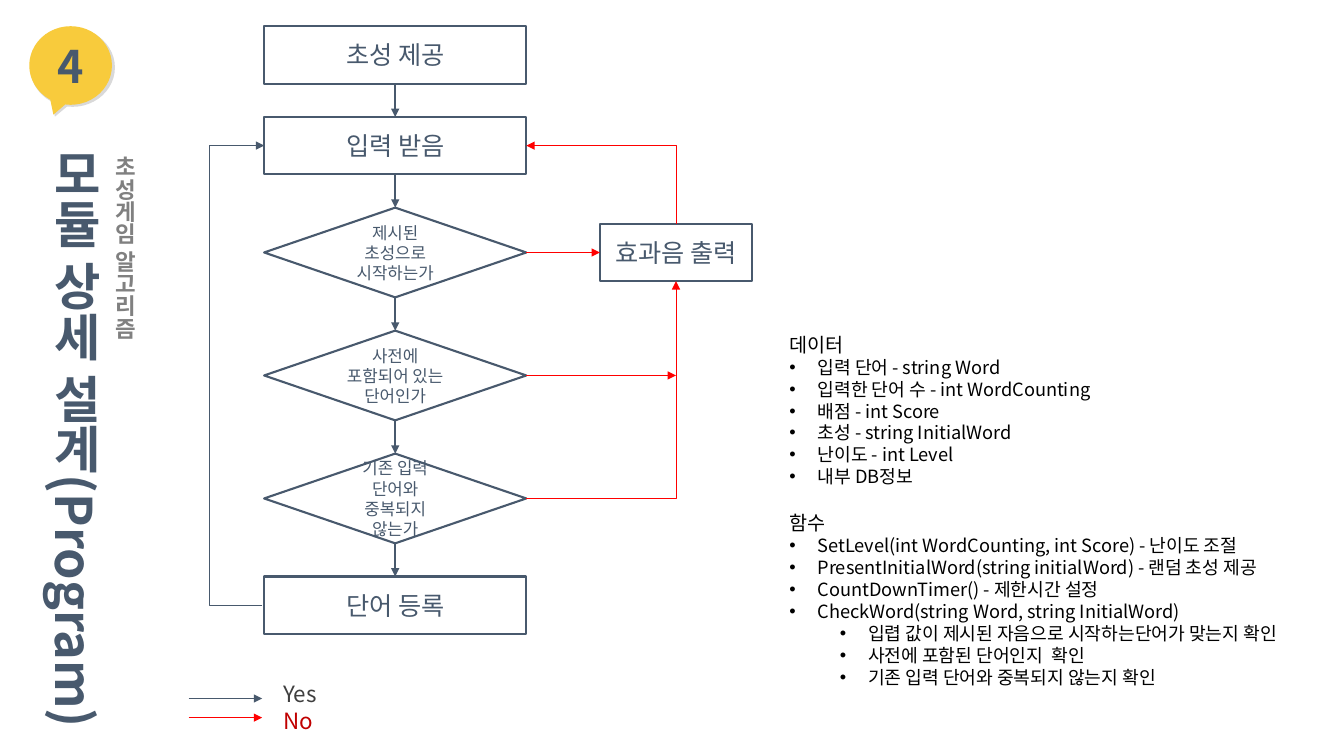
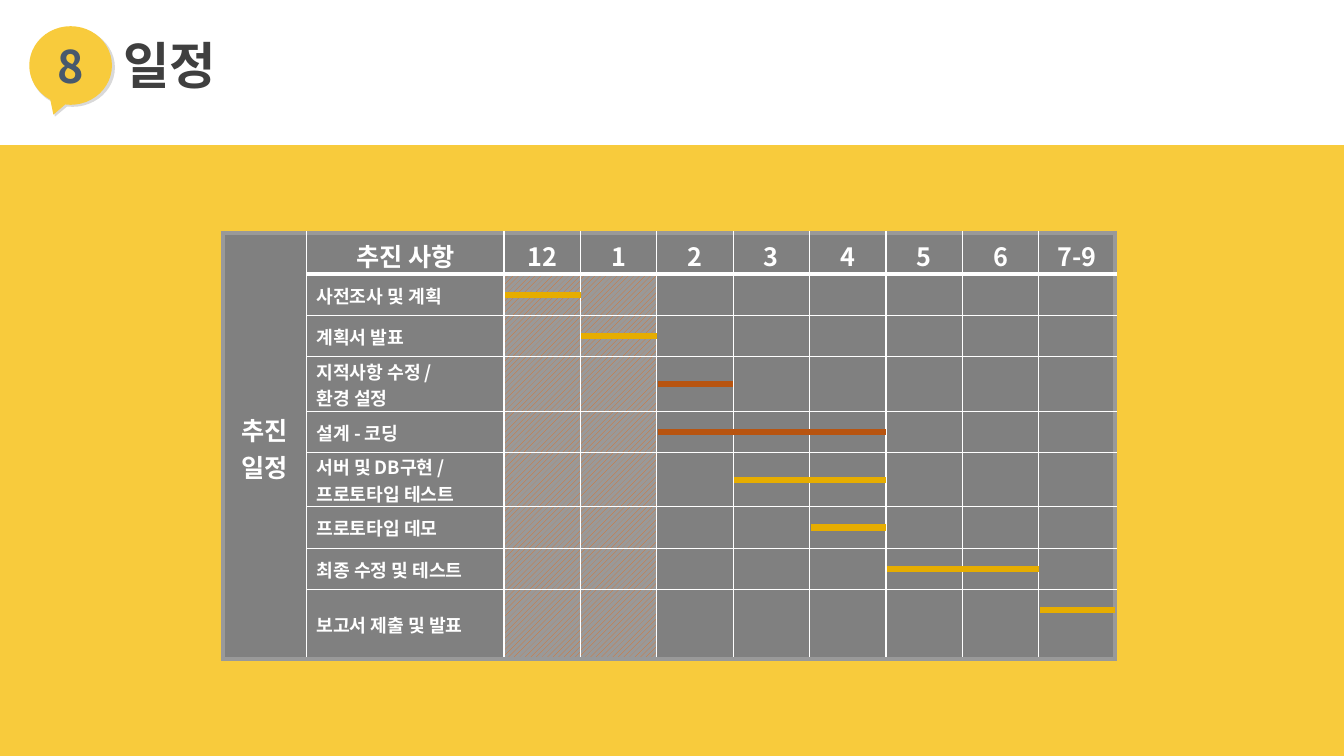
from itertools import accumulate
from lxml import etree
from pptx import Presentation, util as u
from pptx.dml.color import RGBColor
from pptx.enum import dml, shapes, text
from pptx.oxml.ns import qn

THEME = dict(font="Noto Sans CJK KR", navy="48596D", yellow="F8CB3C", shade="D9D9D9",
             grey="808080", edge="999999", dark="3F3F3F", black="000000", white="FFFFFF",
             red="FF0000", crimson="C00000", hatch="EB6C17", gold="E6AD00", rust="B85410",
             number=32, title=36, box=18, label=16, head=14, item=13, small=12)
T = THEME
W, H = 13.33, 7.5
CENTER, LEFT = text.PP_ALIGN.CENTER, text.PP_ALIGN.LEFT
TOP, MIDDLE = text.MSO_ANCHOR.TOP, text.MSO_ANCHOR.MIDDLE
GROW, FIXED = text.MSO_AUTO_SIZE.SHAPE_TO_FIT_TEXT, text.MSO_AUTO_SIZE.NONE
RECT, DECISION = shapes.MSO_SHAPE.RECTANGLE, shapes.MSO_SHAPE.FLOWCHART_DECISION

FLOW_X, FLOW_W, BOX_H, DECISION_H, FLOW_GAP = 2.62, 2.6, 0.57, 0.89, 0.33
FLOW = [(RECT, "초성 제공"), (RECT, "입력 받음"),
        (DECISION, "제시된 초성으로 시작하는가"),
        (DECISION, "사전에 포함되어 있는 단어인가"),
        (DECISION, "기존 입력 단어와 중복되지 않는가"),
        (RECT, "단어 등록")]
LEGEND = [("Yes", "dark", "navy"), ("No", "crimson", "red")]
NOTES = [
    ("head", "데이터"),
    ("item", "입력 단어 - string Word"),
    ("item", "입력한 단어 수 - int WordCounting"),
    ("item", "배점 - int Score"),
    ("item", "초성 - string InitialWord"),
    ("item", "난이도 - int Level"),
    ("item", "내부 DB정보"),
    ("head", "함수"),
    ("item", "SetLevel(int WordCounting, int Score) - 난이도 조절"),
    ("item", "PresentInitialWord(string initialWord) - 랜덤 초성 제공"),
    ("item", "CountDownTimer() - 제한시간 설정"),
    ("item", "CheckWord(string Word, string InitialWord)"),
    ("sub", "입렵 값이 제시된 자음으로 시작하는단어가 맞는지 확인"),
    ("sub", "사전에 포함된 단어인지  확인"),
    ("sub", "기존 입력 단어와 중복되지 않는지 확인"),
]

MONTHS = ["12", "1", "2", "3", "4", "5", "6", "7-9"]
TASKS = [
    (["사전조사 및 계획"], 0, 1, "gold"),
    (["계획서 발표"], 1, 2, "gold"),
    (["지적사항 수정 /", "환경 설정"], 2, 3, "rust"),
    (["설계 - 코딩"], 2, 5, "rust"),
    (["서버 및 DB구현 /", "프로토타입 테스트"], 3, 5, "gold"),
    (["프로토타입 데모"], 4, 5, "gold"),
    (["최종 수정 및 테스트"], 5, 7, "gold"),
    (["보고서 제출 및 발표"], 7, 8, "gold"),
]
DONE_MONTHS = 2


def rgb(name):
    return RGBColor.from_string(T[name])


def inches(*values):
    return [u.Inches(v) for v in values]


def apply(obj, **values):
    for name, value in values.items():
        setattr(obj, name, value)


def add_run(p, line, size, color, bold=False):
    r = p.add_run()
    r.text = line
    apply(r.font, size=u.Pt(T[size]), bold=bold, name=T["font"])
    r.font.color.rgb = rgb(color)
    etree.SubElement(r.font._element, qn("a:ea"), typeface=T["font"])


def write(tf, lines, size, color, bold=False, align=LEFT, **frame):
    apply(tf, **frame)
    for i, line in enumerate(lines):
        p = tf.paragraphs[0] if i == 0 else tf.add_paragraph()
        p.alignment = align
        add_run(p, line, size, color, bold)


def place(sp, *at):
    apply(sp, **dict(zip(("left", "top", "width", "height"), inches(*at))))


def block(parent, kind, at, fill=None, line=None):
    sp = parent.add_shape(kind, *inches(*at))
    sp.shadow.inherit = False
    if fill:
        sp.fill.solid()
        sp.fill.fore_color.rgb = rgb(fill)
    else:
        sp.fill.background()
    if line:
        sp.line.color.rgb = rgb(line)
        sp.line.width = u.Pt(1.5)
    else:
        sp.line.fill.background()
    return sp


def connect(s, start, end, color, width, arrow=True, kind="STRAIGHT"):
    cx = s.shapes.add_connector(shapes.MSO_CONNECTOR[kind], *inches(*start, *end))
    cx.line.color.rgb = rgb(color)
    cx.line.width = u.Pt(width)
    if arrow:
        etree.SubElement(cx.line._ln, qn("a:tailEnd"), type="triangle")
    etree.SubElement(cx._element.spPr, qn("a:effectLst"))
    return cx


def detour(s, start, end, via_x, color, width):
    cx = connect(s, start, end, color, width, kind="ELBOW")
    share = (via_x - start[0]) / (end[0] - start[0])
    guides = cx._element.spPr.find(qn("a:prstGeom")).get_or_add_avLst()
    etree.SubElement(guides, qn("a:gd"), name="adj1", fmla=f"val {round(share * 100000)}")


def corner(s, start, end, color, width, rising=False):
    if rising:
        cx, cy = (start[0] + end[0]) / 2, (start[1] + end[1]) / 2
        dx, dy = abs(end[1] - start[1]) / 2, abs(end[0] - start[0]) / 2
        start, end = (cx - dx, cy + dy), (cx + dx, cy - dy)
    line = connect(s, start, end, color, width, kind="ELBOW")
    spPr = line._element.spPr
    spPr.find(qn("a:prstGeom")).set("prst", "bentConnector2")
    if rising:
        spPr.find(qn("a:xfrm")).set("rot", str(270 * 60000))


def header(s, number, title, at, color, vertical=False):
    badge = s.shapes.add_group_shape().shapes
    for x, y, w, fill in [(0.3, 0.28, 0.84, "shade"), (0.29, 0.26, 0.82, "yellow")]:
        sp = block(badge, shapes.MSO_SHAPE.OVAL_CALLOUT, (x, y, w, 0.78), fill)
        sp.adjustments[0], sp.adjustments[1] = -0.208, 0.625
    write(sp.text_frame, [number], "number", "navy", True, CENTER, vertical_anchor=MIDDLE)
    place(s.shapes.title, *at)
    tf = s.shapes.title.text_frame
    write(tf, [title], "title", color, True, word_wrap=vertical,
          auto_size=FIXED if vertical else GROW, vertical_anchor=TOP)
    if vertical:
        apply(tf, margin_left=0, margin_right=0, margin_top=0, margin_bottom=0)
        tf._txBody.bodyPr.set("vert", "eaVert")


def notes(sp):
    place(sp, 7.73, 3.25, 5.17, 3.83)
    tf = sp.text_frame
    apply(tf, auto_size=FIXED, vertical_anchor=TOP, word_wrap=True)
    margins = dict(head=0, item=0.28, sub=0.78)
    for i, (kind, line) in enumerate(NOTES):
        p = tf.paragraphs[0] if i == 0 else tf.add_paragraph()
        p.level = int(kind == "sub")
        p.space_before = u.Pt(17 if kind == "head" and i else 0)
        add_run(p, line, "head" if kind == "head" else "item", "black")
        pPr = p._p.get_or_add_pPr()
        pPr.set("marL", str(u.Inches(margins[kind])))
        pPr.set("indent", str(u.Inches(0 if kind == "head" else -0.28)))
        if kind == "head":
            etree.SubElement(pPr, qn("a:buNone"))
        else:
            etree.SubElement(pPr, qn("a:buFont"), typeface="Arial")
            etree.SubElement(pPr, qn("a:buChar"), char="•")


def algorithm(prs):
    s = prs.slides.add_slide(prs.slide_layouts[1])
    header(s, "4", "모듈 상세 설계(Program)", (0.4, 1.48, 0.65, H - 1.48), "navy", True)
    notes(s.placeholders[1])
    sub = s.shapes.add_textbox(*inches(0.93, 1.45, 0.49, 1.94)).text_frame
    write(sub, ["초성게임 알고리즘"], "label", "grey", True, CENTER,
          word_wrap=False, auto_size=GROW)
    sub._txBody.bodyPr.set("vert", "eaVert")

    y, middles = 0.26, []
    mid_x, right = FLOW_X + FLOW_W / 2, FLOW_X + FLOW_W
    for i, (kind, label) in enumerate(FLOW):
        h = BOX_H if kind == RECT else DECISION_H
        sp = block(s.shapes, kind, (FLOW_X, y, FLOW_W, h), line="navy")
        write(sp.text_frame, [label], "box" if kind == RECT else "small", "navy",
              align=CENTER, vertical_anchor=MIDDLE)
        middles.append(y + h / 2)
        y += h
        if i < len(FLOW) - 1:
            connect(s, (mid_x, y), (mid_x, y + FLOW_GAP), "navy", 1.5)
        y += FLOW_GAP

    sound_x, sound_w = 5.95, 1.51
    sound_mid, sound_y = sound_x + sound_w / 2, middles[2] - BOX_H / 2
    sp = block(s.shapes, RECT, (sound_x, sound_y, sound_w, BOX_H), line="navy")
    write(sp.text_frame, ["효과음 출력"], "box", "navy", align=CENTER, vertical_anchor=MIDDLE)
    detour(s, (FLOW_X - 0.02, middles[5]), (FLOW_X, middles[1]), 2.08, "navy", 0.5)
    connect(s, (right, middles[2]), (sound_x, middles[2]), "red", 0.25)
    connect(s, (right, middles[3]), (sound_mid, middles[3]), "red", 0.25)
    corner(s, (right, middles[4]), (sound_mid, sound_y + BOX_H), "red", 0.25)
    corner(s, (sound_mid, sound_y), (right, middles[1]), "red", 0.25, rising=True)

    for i, (label, color, line) in enumerate(LEGEND):
        y = 6.7 + i * 0.27
        tf = s.shapes.add_textbox(*inches(2.71, y, 0.78, 0.37)).text_frame
        write(tf, [label], "label", color, word_wrap=True)
        y = 6.93 + i * 0.19
        connect(s, (1.87, y), (2.6, y), line, 0.25)


def borders(cell, sides):
    tcPr = cell._tc.get_or_add_tcPr()
    for i, (side, (color, width)) in enumerate(sides.items()):
        ln = etree.Element(qn(f"a:ln{side}"), w=str(u.Pt(width)))
        fill = etree.SubElement(ln, qn("a:solidFill"))
        etree.SubElement(fill, qn("a:srgbClr"), val=T[color])
        tcPr.insert(i, ln)


def schedule(prs):
    layout = prs.slide_layouts[5]
    s = prs.slides.add_slide(layout)
    band = block(s.shapes, RECT, (0, 1.44, W, H - 1.44), "yellow")
    layout.shapes._spTree.insert(2, band._element)
    header(s, "8", "일정", (1.12, 0.29, 1.18, 0.71), "dark")

    x, y, width, row_h, tall_h, last_h = 2.21, 2.31, 8.85, 0.41, 0.54, 0.69
    month_w = (width - 0.83 - 1.96) / len(MONTHS)
    cols = [0.83, 1.96] + [month_w] * len(MONTHS)
    rows = [row_h] + [tall_h if len(t[0]) > 1 else row_h for t in TASKS]
    tops = list(accumulate(rows, initial=y))
    heights = rows[:-1] + [last_h]
    last_r, last_c = len(rows) - 1, len(cols) - 1
    tbl = s.shapes.add_table(len(rows), len(cols), *inches(x, y, width, sum(heights))).table
    apply(tbl, first_row=False, horz_banding=False)
    for col, w in zip(tbl.columns, cols):
        col.width = u.Inches(w)
    for row, h in zip(tbl.rows, heights):
        row.height = u.Inches(h)
    tbl.cell(0, 0).merge(tbl.cell(last_r, 0))

    outer, inner, rule = ("edge", 3), ("white", 1), ("white", 3)
    labels = {(0, 0): ["추진 일정"], (0, 1): ["추진 사항"]}
    labels.update({(0, c): [m] for c, m in enumerate(MONTHS, 2)})
    labels.update({(r, 1): t[0] for r, t in enumerate(TASKS, 1)})
    for r in range(len(rows)):
        for c in range(len(cols)):
            cell = tbl.cell(r, c)
            is_head = r == 0 or c == 0
            apply(cell, margin_top=u.Inches(0.04 if is_head else 0.01), margin_bottom=0,
                  vertical_anchor=TOP if r == 0 and c else MIDDLE)
            if r and 2 <= c < 2 + DONE_MONTHS:
                cell.fill.patterned()
                cell.fill.pattern = dml.MSO_PATTERN.WIDE_UPWARD_DIAGONAL
                cell.fill.fore_color.rgb = rgb("hatch")
                cell.fill.back_color.rgb = rgb("edge")
            else:
                cell.fill.solid()
                cell.fill.fore_color.rgb = rgb("grey")
            borders(cell, dict(
                L=outer if c == 0 else inner,
                R=outer if c == last_c else inner,
                T=outer if r == 0 else rule if r == 1 else inner,
                B=outer if r == last_r or c == 0 else rule if r == 0 else inner))
            if (r, c) in labels:
                write(cell.text_frame, labels[r, c], "box" if is_head else "item", "white",
                      True, CENTER if is_head else LEFT)
            else:
                etree.SubElement(cell.text_frame.paragraphs[0]._p, qn("a:endParaRPr"), sz="800")

    month_x = x + cols[0] + cols[1]
    for r, (_, first, end, color) in enumerate(TASKS, 1):
        mid = tops[r] + rows[r] / 2
        connect(s, (month_x + first * month_w + 0.01, mid), (month_x + end * month_w, mid),
                color, 4.5, arrow=False)


def main():
    prs = Presentation()
    prs.slide_width, prs.slide_height = inches(W, H)
    algorithm(prs)
    schedule(prs)
    prs.save("out.pptx")


if __name__ == "__main__":
    main()
